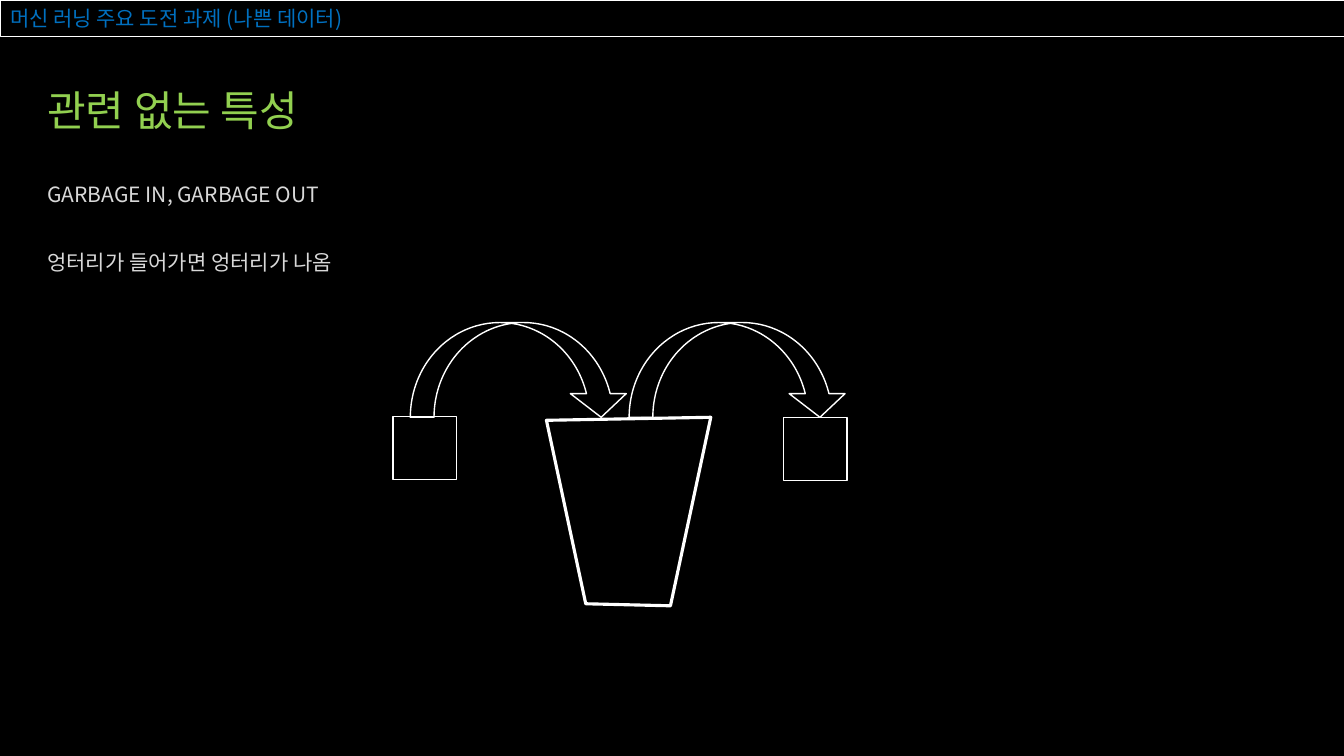
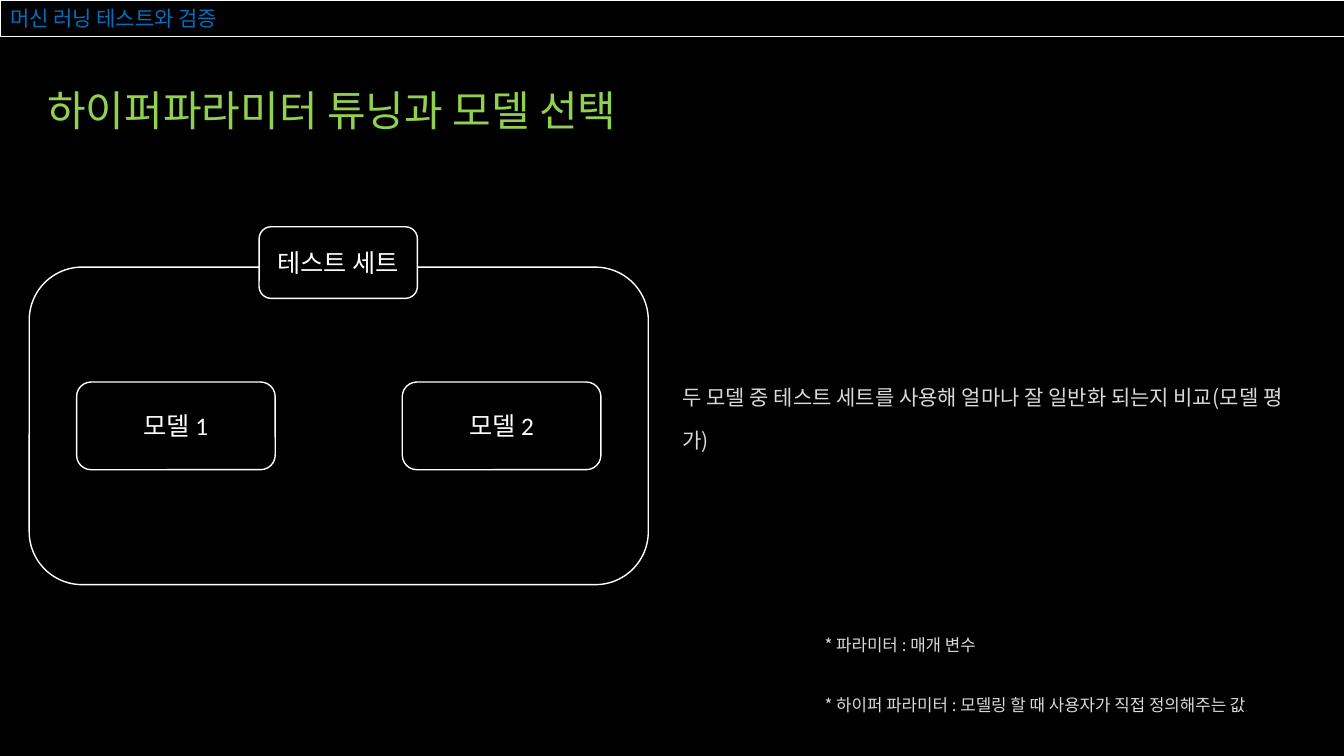
"""Build two dark machine learning slides: bad data, and model selection."""
import pptx
import pptx.util
from lxml import etree
from pptx.dml.color import RGBColor
from pptx.enum.shapes import MSO_SHAPE
from pptx.enum.text import MSO_ANCHOR, MSO_AUTO_SIZE, PP_ALIGN
from pptx.oxml.ns import qn
from pptx.util import Inches

COLORS = {
    "background": "000000",
    "outline": "FFFFFF",
    "title": "0070C0",
    "heading": "92D050",
    "body": "D9D9D9",
}
TEXT_FONT = "Noto Sans CJK KR"
LABEL_FONT = "Calibri"


class Deck:
    """Hold the shared style and the slide being built."""

    def __init__(self):
        """Start a wide presentation with a dark background."""
        self.presentation = pptx.Presentation()
        self.presentation.slide_width = Inches(13.33)
        self.presentation.slide_height = Inches(7.5)
        self.fill(self.presentation.slide_master.background, "background")
        self.slide = None

    def fill(self, target, color):
        """Fill a shape or background with a named color."""
        target.fill.solid()
        target.fill.fore_color.rgb = RGBColor.from_string(COLORS[color])

    def outline(self, shape, width):
        """Give a shape the common outline."""
        shape.line.color.rgb = RGBColor.from_string(COLORS["outline"])
        shape.line.width = pptx.util.Pt(width)

    def place(self, shape, left, top, width, height):
        """Move and size a shape, in inches."""
        shape.left, shape.top = Inches(left), Inches(top)
        shape.width, shape.height = Inches(width), Inches(height)

    def set_text(self, shape, lines, size, color, spacing=1.0, font=TEXT_FONT,
                 anchor=MSO_ANCHOR.TOP, align=PP_ALIGN.LEFT):
        """Set unbulleted paragraphs in one style."""
        frame = shape.text_frame
        frame.word_wrap = True
        frame.auto_size = MSO_AUTO_SIZE.NONE
        frame.vertical_anchor = anchor
        frame.text = "\n".join(lines)
        for index, paragraph in enumerate(frame.paragraphs):
            paragraph.alignment = align
            paragraph.line_spacing = spacing
            paragraph.space_before = pptx.util.Pt(18 if index else 0)
            properties = paragraph._p.get_or_add_pPr()
            properties.set("marL", "0")
            properties.set("indent", "0")
            etree.SubElement(properties, qn("a:buNone"))
            paragraph.font.size = pptx.util.Pt(size)
            paragraph.font.name = font
            paragraph.font.color.rgb = RGBColor.from_string(COLORS[color])
            east_asian = etree.SubElement(properties.find(qn("a:defRPr")), qn("a:ea"))
            east_asian.set("typeface", TEXT_FONT)

    def add_slide(self, title, heading, lines, body_box):
        """Add a slide with its title band, heading and body text."""
        layout = self.presentation.slide_layouts.get_by_name("Two Content")
        self.slide = self.presentation.slides.add_slide(layout)
        band, subtitle, body = list(self.slide.placeholders)[:3]
        self.place(band, 0, 0, 13.33, 0.36)
        self.outline(band, 0.5)
        self.set_text(band, [title], 15, "title", 0.9, anchor=MSO_ANCHOR.BOTTOM)
        self.place(subtitle, 0.37, 0.84, 11.73, 0.41)
        self.set_text(subtitle, [heading], 30, "heading", 0.9)
        self.place(body, *body_box)
        self.set_text(body, lines, 15, "body", 1.7)

    def add_note(self, lines, *box):
        """Add small explanatory text."""
        note = self.slide.shapes.add_textbox(*map(Inches, box))
        self.set_text(note, lines, 12, "body", 1.7)

    def add_outlined(self, kind, *box, label=None, filled=False):
        """Add an outlined preset shape, with a label if given."""
        shape = self.slide.shapes.add_shape(kind, *map(Inches, box))
        shape.shadow.inherit = False
        self.outline(shape, 1)
        if filled:
            self.fill(shape, "background")
        else:
            shape.fill.background()
        if label:
            self.set_text(shape, [label], 18, "outline", font=LABEL_FONT,
                          anchor=MSO_ANCHOR.MIDDLE, align=PP_ALIGN.CENTER)
        return shape

    def add_outline(self, points, width):
        """Add a closed unfilled polygon."""
        start, *others = [tuple(map(Inches, point)) for point in points]
        builder = self.slide.shapes.build_freeform(*start)
        builder.add_line_segments(others, close=True)
        shape = builder.convert_to_shape()
        shape.shadow.inherit = False
        shape.fill.background()
        self.outline(shape, width)


def build_bad_data(deck):
    """Show garbage going into a bin and coming out again."""
    deck.add_slide(
        "머신 러닝 주요 도전 과제 (나쁜 데이터)",
        "관련 없는 특성",
        ["GARBAGE IN, GARBAGE OUT", "엉터리가 들어가면 엉터리가 나옴"],
        (0.37, 1.58, 8.56, 4.21),
    )
    deck.add_outline([(5.42, 4.17), (5.81, 5.99), (6.65, 6.01), (7.05, 4.14)], 2.25)
    for left, top in ((3.9, 4.13), (7.77, 4.14)):
        deck.add_outlined(MSO_SHAPE.RECTANGLE, left, top, 0.63, 0.63)
    for left in (4.07, 6.24):
        arrow = deck.add_outlined(MSO_SHAPE.CURVED_DOWN_ARROW, left, 3.2, 2.17, 0.94)
        arrow.adjustments[1] = 0.59


def build_model_selection(deck):
    """Show two models compared on one test set."""
    deck.add_slide(
        "머신 러닝 테스트와 검증",
        "하이퍼파라미터 튜닝과 모델 선택",
        ["두 모델 중 테스트 세트를 사용해 얼마나 잘 일반화 되는지 비교(모델 평가)"],
        (6.67, 3.59, 6.38, 1.89),
    )
    rounded = MSO_SHAPE.ROUNDED_RECTANGLE
    for label, left in (("모델 1", 0.76), ("모델 2", 3.99)):
        deck.add_outlined(rounded, left, 3.79, 1.97, 0.87, label=label)
    deck.add_outlined(rounded, 0.29, 2.65, 6.14, 3.15)
    deck.add_outlined(rounded, 2.57, 2.25, 1.57, 0.71, label="테스트 세트", filled=True)
    deck.add_note(
        ["* 파라미터 : 매개 변수",
         "* 하이퍼 파라미터 : 모델링 할 때 사용자가 직접 정의해주는 값"],
        8.08, 6.11, 5.04, 1.89,
    )


def main():
    """Build and save the presentation."""
    deck = Deck()
    build_bad_data(deck)
    build_model_selection(deck)
    deck.presentation.save("out.pptx")


if __name__ == "__main__":
    main()
